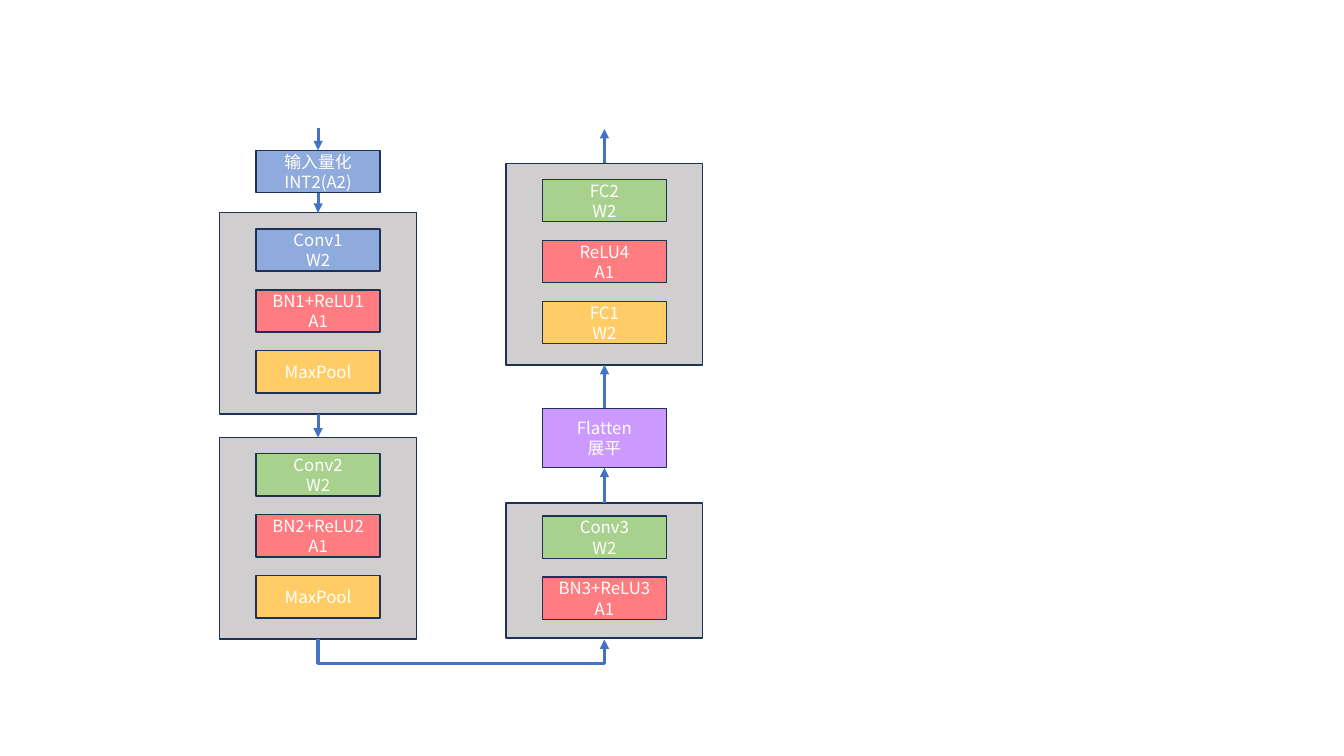
from lxml.etree import SubElement
from pptx import Presentation
from pptx.dml.color import RGBColor
from pptx.enum.shapes import MSO_CONNECTOR, MSO_SHAPE
from pptx.enum.text import MSO_ANCHOR, PP_ALIGN
from pptx.oxml.ns import qn
from pptx.util import Inches, Pt

FONT = "Noto Sans CJK SC"
BLUE, GREEN, RED, GOLD = "8FAADC", "A9D18E", "FF7C80", "FFCC66"
PURPLE, GREY, EDGE, ARROW = "CC99FF", "D0CECE", "1E3256", "4472C4"
LEFT, RIGHT = 2.18, 5.02
WIDE, THIN, INSET = 1.95, 1.23, 0.36
HIGH, STEP = 0.42, 0.605
TOP, BOTTOM = 0, 2


def color(code):
    """Return the colour for a hex string."""
    return RGBColor.from_string(code)


def add_box(slide, left, top, width, height, fill):
    """Draw a filled rectangle with a dark edge."""
    box = slide.shapes.add_shape(
        MSO_SHAPE.RECTANGLE, Inches(left), Inches(top), Inches(width), Inches(height))
    box.shadow.inherit = False
    box.fill.solid()
    box.fill.fore_color.rgb = color(fill)
    box.line.color.rgb = color(EDGE)
    box.line.width = Pt(1)
    return box


def add_layer(slide, col, top, text, fill, height=HIGH):
    """Draw one labelled layer in a column."""
    box = add_box(slide, col + INSET, top, THIN, height, fill)
    frame = box.text_frame
    frame.word_wrap = True
    frame.margin_top = frame.margin_bottom = 0
    frame.vertical_anchor = MSO_ANCHOR.MIDDLE
    para = frame.paragraphs[0]
    para.text = text.replace("\n", "\v")
    para.alignment = PP_ALIGN.CENTER
    para.line_spacing = Pt(14.4)
    for run in para.runs:
        run.font.size = Pt(12)
        run.font.name = FONT
        run.font.color.rgb = color("FFFFFF")
        SubElement(run.font._element, qn("a:ea"), typeface=FONT)
    return box


def add_block(slide, col, top, height, pad, layers):
    """Draw a grey block with its stack of layers."""
    block = add_box(slide, col, top, WIDE, height, GREY)
    for row, (text, fill) in enumerate(layers):
        add_layer(slide, col, top + pad + row * STEP, text, fill)
    return block


def style_arrow(line):
    """Give a connector its colour, width and arrowhead."""
    line.line.color.rgb = color(ARROW)
    line.line.width = Pt(2.25)
    props = line._element.spPr
    SubElement(props.find(qn("a:ln")), qn("a:tailEnd"), type="triangle")
    SubElement(props, qn("a:effectLst"))


def add_arrow(slide, col, start, end, source=None, target=None, up=False):
    """Draw an upright arrow and join it to the given boxes."""
    mid = Inches(col + WIDE / 2)
    line = slide.shapes.add_connector(
        MSO_CONNECTOR.STRAIGHT, mid, Inches(start), mid, Inches(end))
    if source:
        line.begin_connect(source, TOP if up else BOTTOM)
    if target:
        line.end_connect(target, BOTTOM if up else TOP)
    style_arrow(line)


def add_bend(slide, base, drop):
    """Draw the elbow arrow below the two columns."""
    span, rise = RIGHT - LEFT, 0.01
    mid = (LEFT + RIGHT + WIDE) / 2
    line = slide.shapes.add_connector(
        MSO_CONNECTOR.ELBOW,
        Inches(mid + rise / 2), Inches(base - span / 2),
        Inches(mid - rise / 2), Inches(base + span / 2))
    props = line._element.spPr
    props.find(qn("a:xfrm")).set("rot", str(270 * 60000))
    shape = props.find(qn("a:prstGeom"))
    guides = shape.find(qn("a:avLst"))
    if guides is None:
        guides = SubElement(shape, qn("a:avLst"))
    ratio = round(drop / rise * 100000)
    SubElement(guides, qn("a:gd"), name="adj1", fmla=f"val {ratio}")
    style_arrow(line)


def main():
    """Build the network diagram and save it."""
    deck = Presentation()
    deck.slide_width, deck.slide_height = Inches(13.33), Inches(7.5)
    slide = deck.slides.add_slide(deck.slide_layouts[6])

    quant = add_layer(slide, LEFT, 1.49, "输入量化\nINT2(A2)", BLUE)
    conv1 = add_block(slide, LEFT, 2.11, 2, 0.16, [
        ("Conv1\nW2", BLUE), ("BN1+ReLU1\nA1", RED), ("MaxPool", GOLD)])
    conv2 = add_block(slide, LEFT, 4.34, 2, 0.16, [
        ("Conv2\nW2", GREEN), ("BN2+ReLU2\nA1", RED), ("MaxPool", GOLD)])
    conv3 = add_block(slide, RIGHT, 4.99, 1.34, 0.13, [
        ("Conv3\nW2", GREEN), ("BN3+ReLU3\nA1", RED)])
    flat = add_layer(slide, RIGHT, 4.05, "Flatten\n展平", PURPLE, 0.59)
    dense = add_block(slide, RIGHT, 1.62, 2, 0.16, [
        ("FC2\nW2", GREEN), ("ReLU4\nA1", RED), ("FC1\nW2", GOLD)])

    add_arrow(slide, LEFT, 1.27, 1.49, target=quant)
    add_arrow(slide, LEFT, 1.92, 2.11, quant, conv1)
    add_arrow(slide, LEFT, 4.11, 4.34, conv1, conv2)
    add_bend(slide, 6.34, 0.25)
    add_arrow(slide, RIGHT, 4.99, 4.64, conv3, flat, up=True)
    add_arrow(slide, RIGHT, 4.05, 3.62, flat, dense, up=True)
    add_arrow(slide, RIGHT, 1.62, 1.28, dense, up=True)
    deck.save("out.pptx")


if __name__ == "__main__":
    main()
